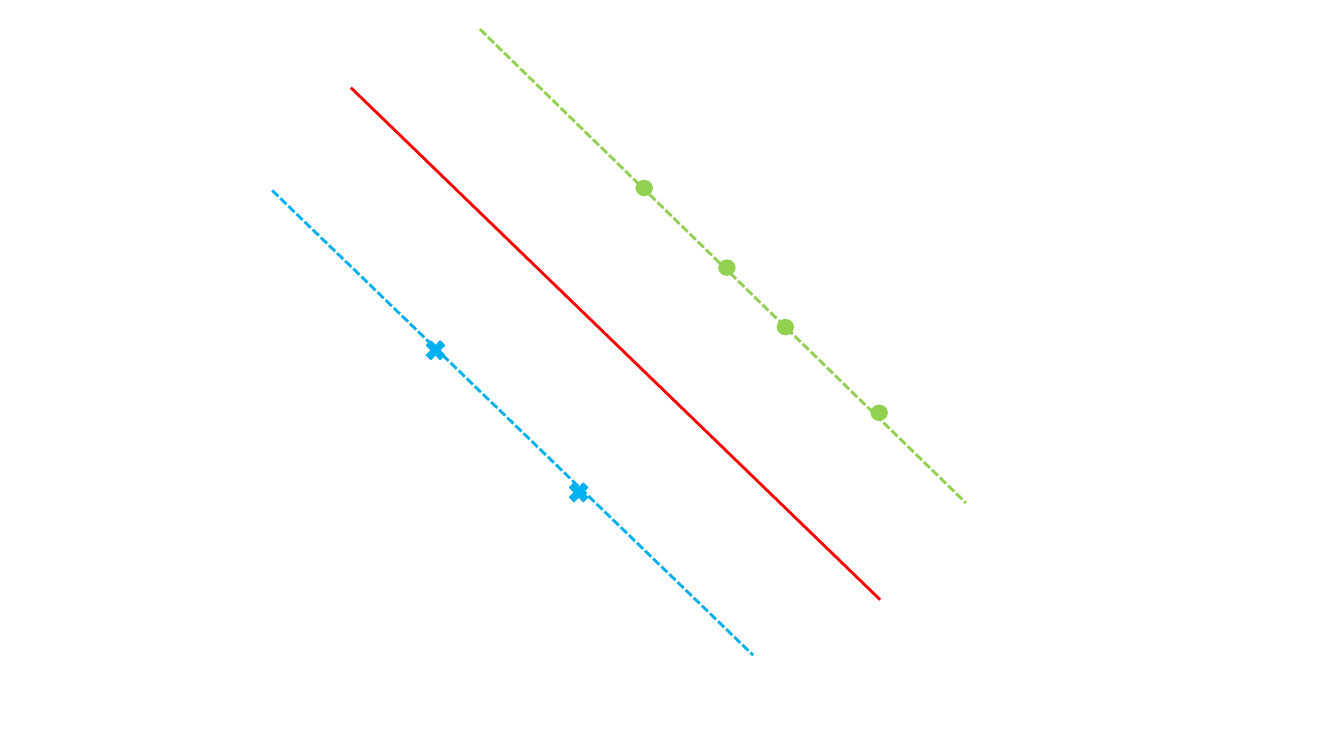
from pptx import Presentation
from pptx.dml.color import RGBColor
from pptx.enum.dml import MSO_LINE
from pptx.enum.shapes import MSO_CONNECTOR, MSO_SHAPE
from pptx.oxml.ns import qn
from pptx.util import Inches, Pt
from lxml.etree import SubElement

RED, BLUE, GREEN = "FF0000", "00B0F0", "92D050"


def color(hex_code):
    """Turn a hex string into a colour."""
    return RGBColor.from_string(hex_code)


class Diagram:
    """Hold the line widths and the current slide."""

    line_width = Pt(2)
    outline_width = Pt(1)

    def __init__(self, page):
        """Draw on the given slide."""
        self.page = page

    def line(self, start, end, hex_code, dash=None):
        """Draw a straight line between two points."""
        ends = [Inches(value) for value in (*start, *end)]
        connector = self.page.shapes.add_connector(MSO_CONNECTOR.STRAIGHT, *ends)
        connector.line.color.rgb = color(hex_code)
        connector.line.width = self.line_width
        if dash is not None:
            connector.line.dash_style = dash
        SubElement(connector._element.spPr, qn("a:effectLst"))

    def marker(self, kind, left, top, size, hex_code):
        """Draw a small filled marker."""
        frame = [Inches(value) for value in (left, top, *size)]
        shape = self.page.shapes.add_shape(kind, *frame)
        shape.shadow.inherit = False
        shape.fill.solid()
        shape.fill.fore_color.rgb = color(hex_code)
        shape.line.color.rgb = color(hex_code)
        shape.line.width = self.outline_width


deck = Presentation()
deck.slide_width, deck.slide_height = Inches(13.33), Inches(7.5)
diagram = Diagram(deck.slides.add_slide(deck.slide_layouts[6]))

# Separating line and its two dashed margins
diagram.line((3.48, 0.87), (8.73, 5.95), RED)
diagram.line((2.7, 1.89), (7.47, 6.5), BLUE, MSO_LINE.SQUARE_DOT)
diagram.line((4.76, 0.29), (9.58, 4.99), GREEN, MSO_LINE.SQUARE_DOT)

# Points lying on each margin
for left, top in [(6.31, 1.79), (7.71, 3.17), (7.13, 2.58), (8.64, 4.02)]:
    diagram.marker(MSO_SHAPE.OVAL, left, top, (0.16, 0.15), GREEN)
for left, top in [(4.19, 3.34), (5.61, 4.75)]:
    diagram.marker(MSO_SHAPE.MATH_MULTIPLY, left, top, (0.26, 0.27), BLUE)

deck.save("out.pptx")
